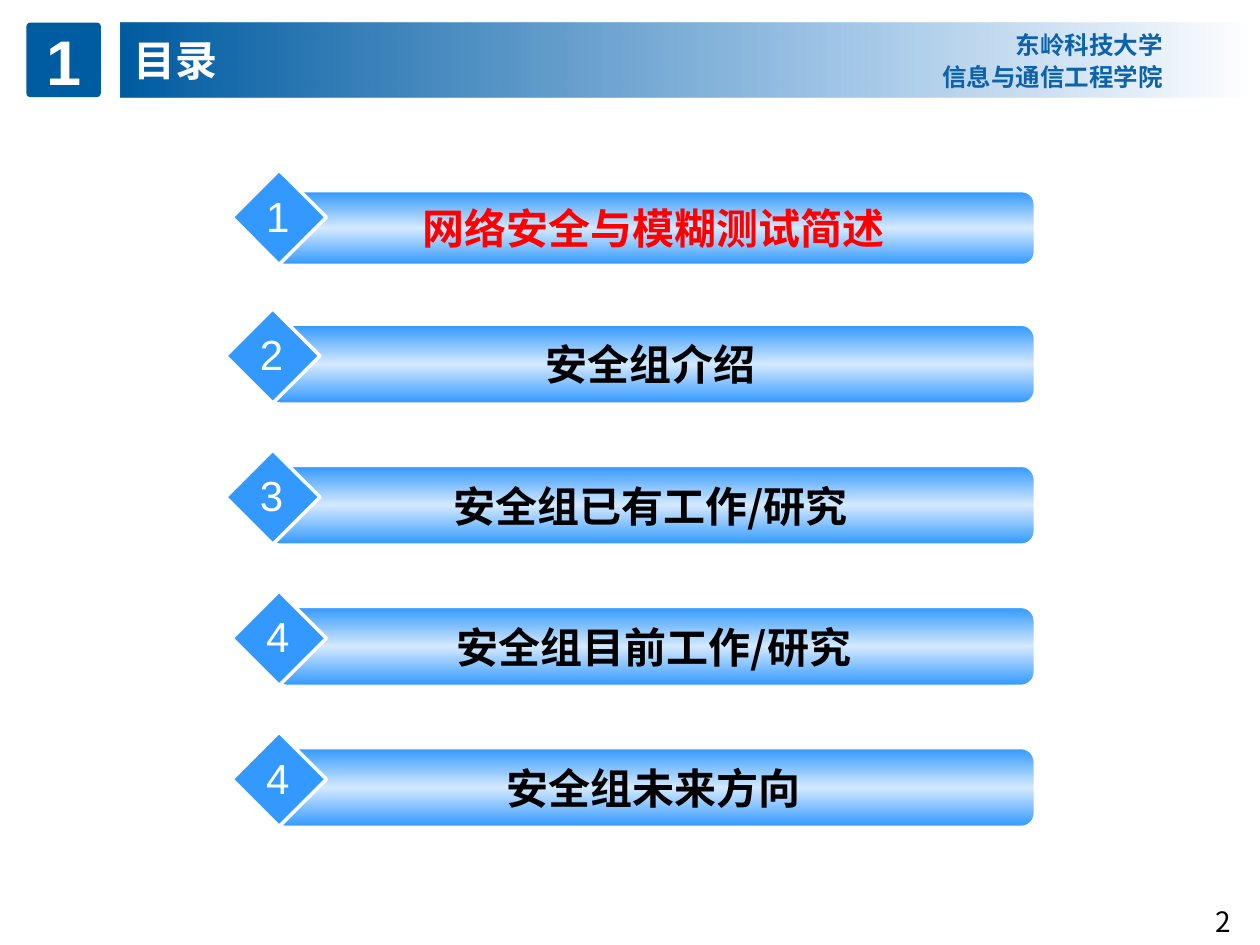
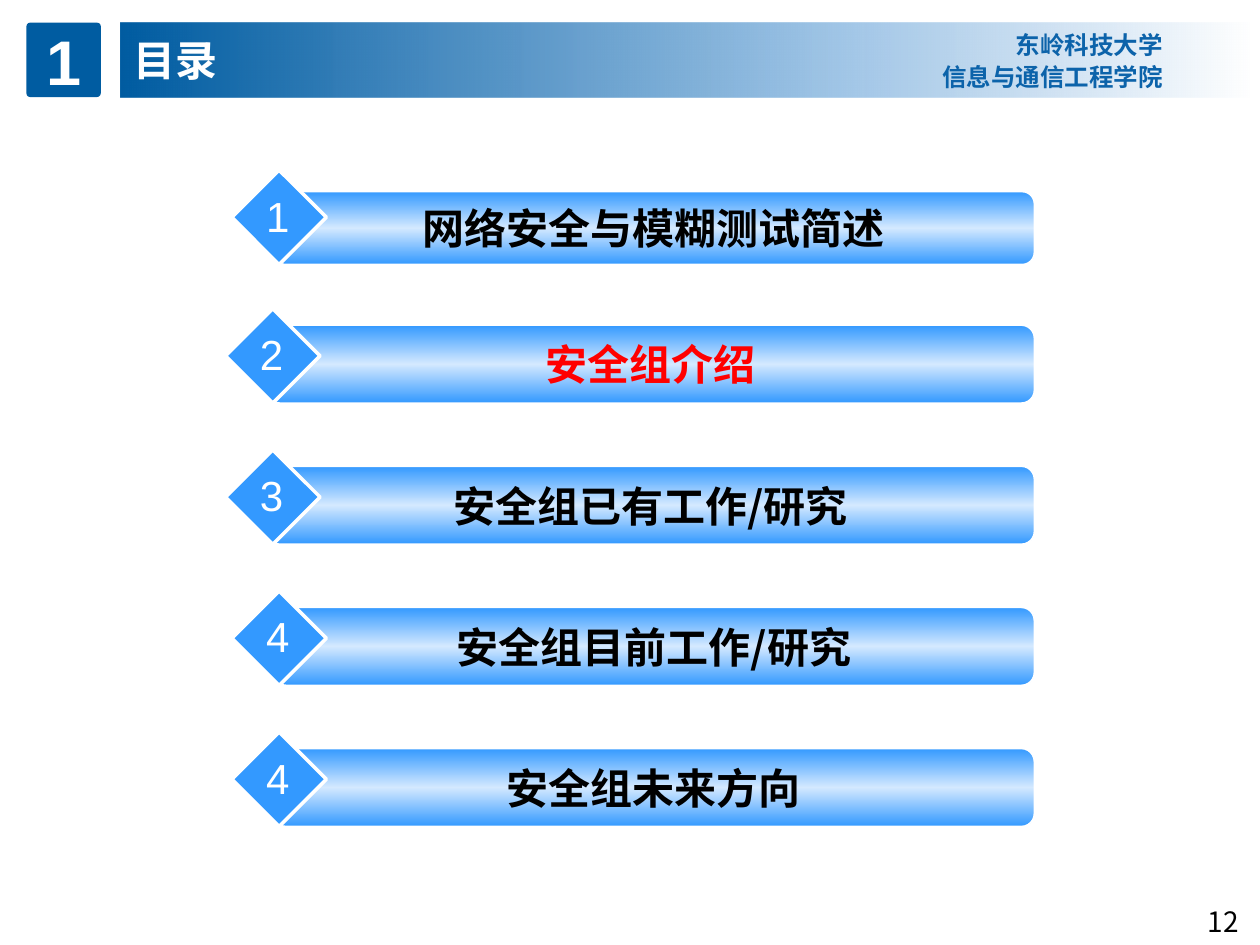
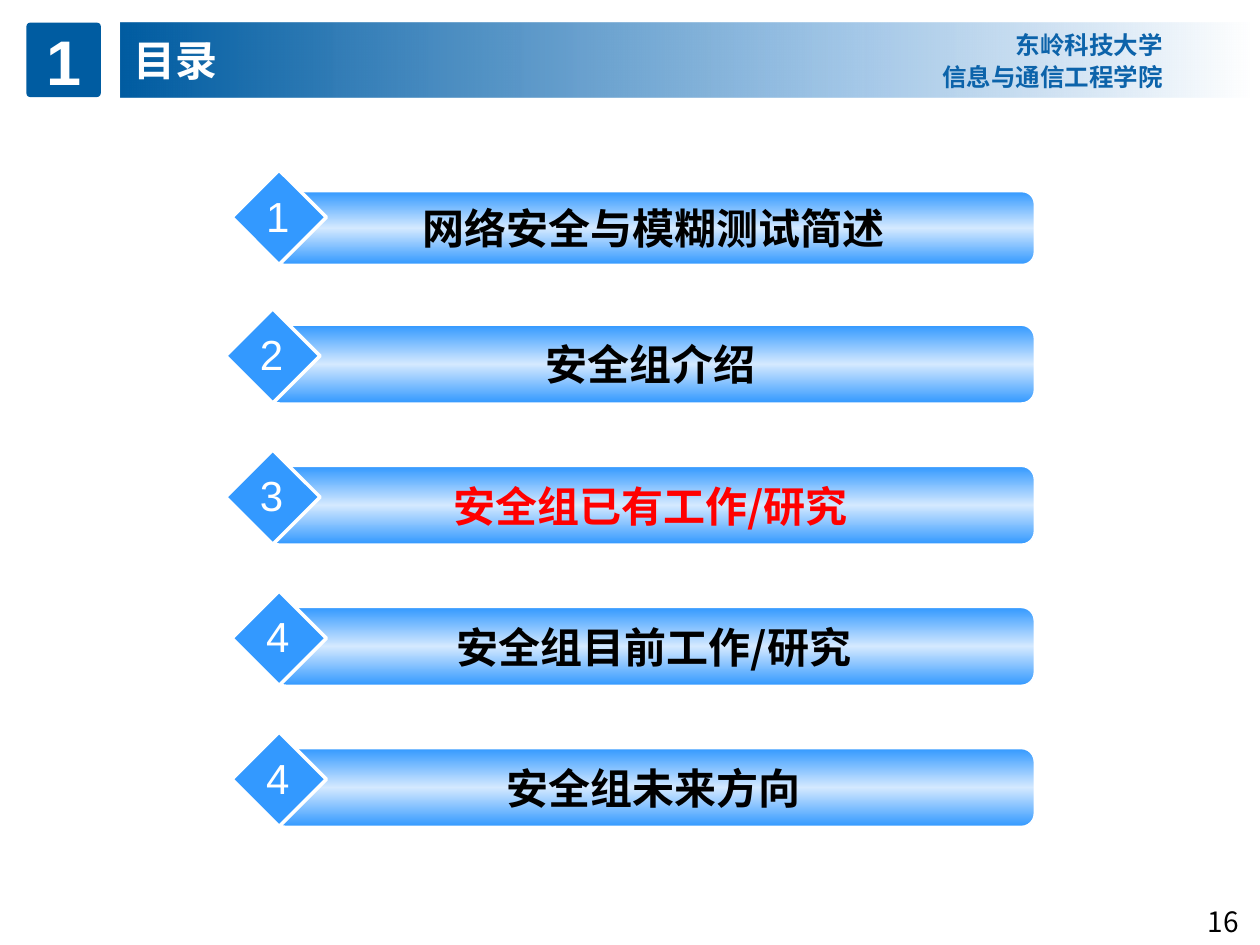
from lxml import etree
from pptx import Presentation
from pptx import util as u
from pptx.dml.color import RGBColor
from pptx.enum import shapes, text
from pptx.oxml import ns

PX = 9144
NAVY = RGBColor(0x00, 0x5C, 0xA1)
MIST = RGBColor(0x9C, 0xC3, 0xE6)
INK = RGBColor(0x0C, 0x63, 0xAA)
SKY = RGBColor(0x33, 0x99, 0xFF)
PALE = RGBColor(0xD4, 0xE9, 0xFF)
WHITE = RGBColor(0xFF, 0xFF, 0xFF)
BLACK = RGBColor(0x00, 0x00, 0x00)
RED = RGBColor(0xFF, 0x00, 0x00)
HAN = "Noto Sans CJK SC"
LEFT, MID, RIGHT = text.PP_ALIGN.LEFT, text.PP_ALIGN.CENTER, text.PP_ALIGN.RIGHT
KIND = shapes.MSO_SHAPE

BAND = [(0, NAVY, 100), (64, MIST, 94), (100, WHITE, 100)]
GLOSS = [(0, SKY, 100), (50, PALE, 100), (100, SKY, 100)]
SCHOOL = ["东岭科技大学", "信息与通信工程学院"]
TOPICS = [
    ("1", "网络安全与模糊测试简述", 184, 135, 58),
    ("2", "安全组介绍", 179, 245, 62),
    ("3", "安全组已有工作/研究", 179, 357, 62),
    ("4", "安全组目前工作/研究", 184, 469, 62),
    ("4", "安全组未来方向", 184, 581, 62),
]
PAGES = [("2", 0), ("12", 1), ("16", 2)]


class Deck:
    def __init__(self):
        self.prs = Presentation()
        self.prs.slide_width, self.prs.slide_height = 1000 * PX, 750 * PX
        self.slide = None

    def page(self):
        self.slide = self.prs.slides.add_slide(self.prs.slide_layouts[5])

    def words(self, shape, lines, size, color, font=HAN, bold=False,
              align=MID, wrap=True, anchor=text.MSO_ANCHOR.MIDDLE, space=None):
        frame = shape.text_frame
        frame.auto_size = text.MSO_AUTO_SIZE.NONE
        frame.word_wrap = wrap
        frame.vertical_anchor = anchor
        frame.margin_left = frame.margin_right = 10 * PX
        frame.margin_top = frame.margin_bottom = 5 * PX
        for n, line in enumerate(lines):
            para = frame.add_paragraph() if n else frame.paragraphs[0]
            para.alignment = align
            para.line_spacing = space
            run = para.add_run()
            run.text = line
            run.font.size = u.Pt(size)
            run.font.bold = bold
            run.font.name = font
            run.font.color.rgb = color
        for props in shape.element.iter(ns.qn("a:rPr")):
            etree.SubElement(props, ns.qn("a:ea"), typeface=HAN)

    def blend(self, shape, stops, angle):
        shape.fill.gradient()
        shape.fill.gradient_angle = angle
        items = shape.element.spPr.find(".//" + ns.qn("a:gsLst"))
        for old in list(items):
            items.remove(old)
        for spot, color, alpha in stops:
            stop = etree.SubElement(items, ns.qn("a:gs"), pos=str(spot * 1000))
            tint = etree.SubElement(stop, ns.qn("a:srgbClr"), val=str(color))
            if alpha < 100:
                etree.SubElement(tint, ns.qn("a:alpha"), val=str(alpha * 1000))

    def title(self, line, x, y, w, h):
        shape = self.slide.shapes.title
        shape.left, shape.top, shape.width, shape.height = (v * PX for v in (x, y, w, h))
        self.blend(shape, BAND, 0)
        self.words(shape, [line], 24, WHITE, bold=True, align=LEFT)

    def shape(self, kind, x, y, w, h, fill=None, edge=0, curve=None):
        shape = self.slide.shapes.add_shape(kind, x * PX, y * PX, w * PX, h * PX)
        shape.shadow.inherit = False
        if curve is not None:
            shape.adjustments[0] = curve
        if fill is not None:
            shape.fill.solid()
            shape.fill.fore_color.rgb = fill
        if edge:
            shape.line.color.rgb = WHITE
            shape.line.width = u.Pt(edge)
        else:
            shape.line.fill.background()
        return shape

    def label(self, lines, x, y, w, h, size, color, **style):
        box = self.slide.shapes.add_textbox(x * PX, y * PX, w * PX, h * PX)
        self.words(box, lines, size, color, **style)

    def frame(self, number):
        self.title("目录", 96, 18, 896, 59)
        badge = self.shape(KIND.ROUNDED_RECTANGLE, 21, 18, 59, 59, NAVY, curve=0.05)
        self.words(badge, ["1"], 36, WHITE, font="Arial", bold=True)
        self.label(SCHOOL, 735, 17, 198, 60, 14, INK, font="Karla",
                   bold=True, align=RIGHT, space=1.1)
        self.label([number], 942, 713, 58, 37, 16, BLACK, anchor=text.MSO_ANCHOR.TOP)

    def topic(self, mark, name, x, y, high, color):
        side = 75
        start = x + 33
        bar = self.shape(KIND.ROUNDED_RECTANGLE, start, y + side - high,
                         821 - start, high, edge=1, curve=0.167)
        self.blend(bar, GLOSS, 90)
        self.words(bar, [name], 24, color, bold=True, wrap=False)
        self.shape(KIND.DIAMOND, x, y, side, side, SKY, edge=2)
        self.label([mark], x + 17, y + 11, 39, 50, 24, WHITE, font="Arial",
                   wrap=False, anchor=text.MSO_ANCHOR.TOP)


def main():
    deck = Deck()
    for number, active in PAGES:
        deck.page()
        deck.frame(number)
        for n, (mark, name, x, y, high) in enumerate(TOPICS):
            deck.topic(mark, name, x, y, high, RED if n == active else BLACK)
    deck.prs.save("out.pptx")


if __name__ == "__main__":
    main()
